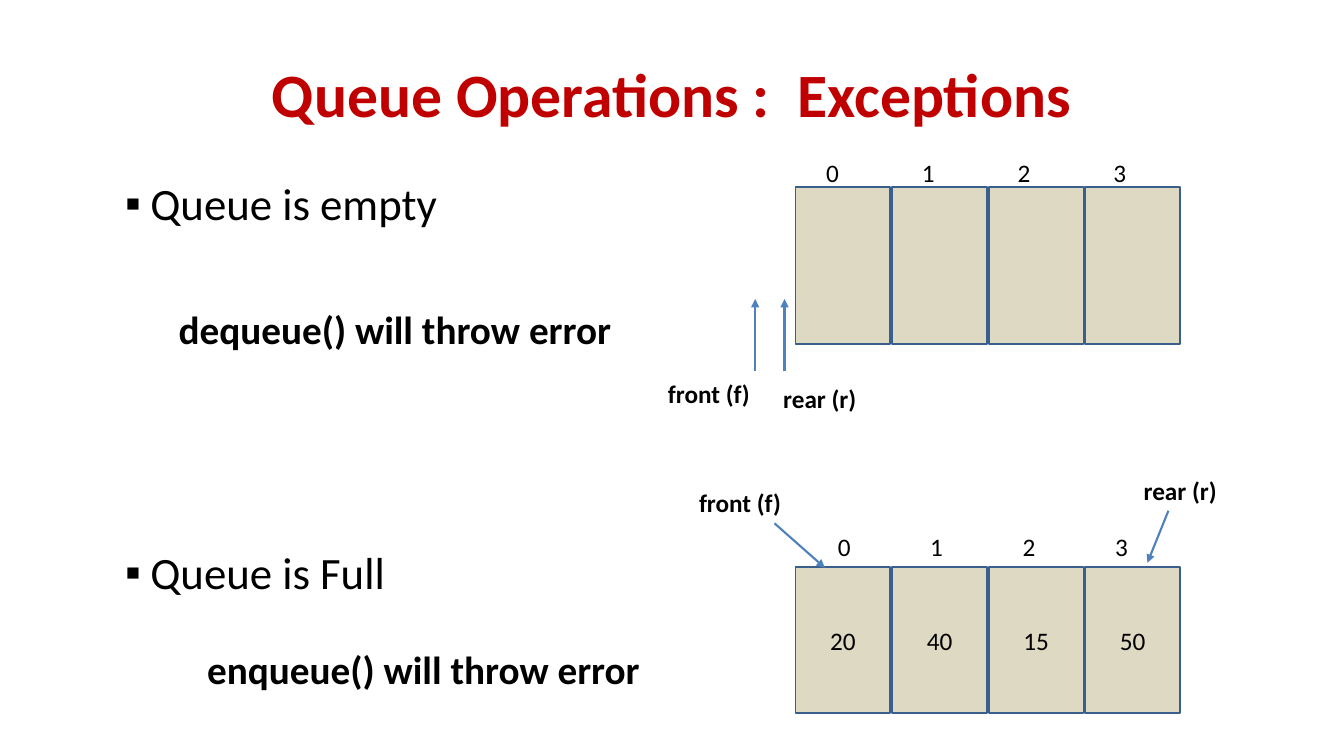
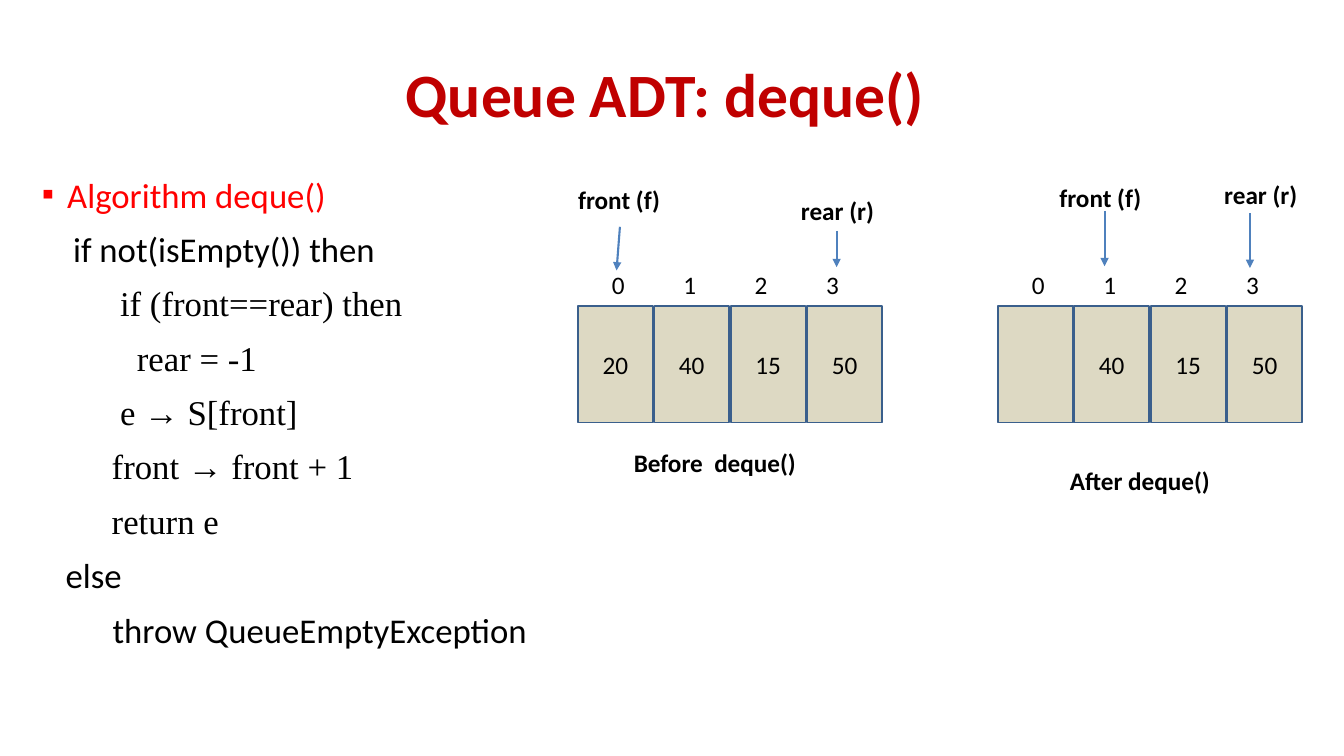
import lxml.etree
import pptx
import pptx.dml.color
import pptx.enum.shapes
import pptx.enum.text
import pptx.oxml.ns
import pptx.util

COLUMNS, ROWS = 160, 90
COLORS = {
    "title": "C00000",
    "text": "000000",
    "highlight": "FF0000",
    "cell": "DDD9C3",
    "outline": "3A5F8C",
    "arrow": "4F81BD",
}
BODY_FONT, CODE_FONT = "Calibri", "Times New Roman"
ALIGN = pptx.enum.text.PP_ALIGN
MIDDLE = pptx.enum.text.MSO_ANCHOR.MIDDLE


def rgb(name):
    return pptx.dml.color.RGBColor.from_string(COLORS[name])


def add_xml(parent, tag, **attributes):
    return lxml.etree.SubElement(parent, pptx.oxml.ns.qn(tag), **attributes)


def write(paragraph, text, size=18, color="text", bold=False, font=BODY_FONT,
          align=ALIGN.CENTER):
    paragraph.alignment = align
    run = paragraph.add_run()
    run.text = text
    run.font.name = font
    run.font.size = pptx.util.Pt(size)
    run.font.bold = bold
    run.font.color.rgb = rgb(color)


class Deck:
    """Holds the presentation, its grid and the current slide."""

    def __init__(self):
        self.presentation = pptx.Presentation()
        self.presentation.slide_width = pptx.util.Inches(13.33)
        self.presentation.slide_height = pptx.util.Inches(7.5)

    def grid(self, *lengths):
        """Turn alternating column and row counts into lengths."""
        units = (self.presentation.slide_width / COLUMNS,
                 self.presentation.slide_height / ROWS)
        return [round(length * units[i % 2]) for i, length in enumerate(lengths)]

    def place(self, shape, *box):
        shape.left, shape.top, shape.width, shape.height = self.grid(*box)

    def start_slide(self, title):
        layout = self.presentation.slide_layouts[1]
        self.slide = self.presentation.slides.add_slide(layout)
        shape = self.slide.shapes.title
        self.place(shape, 8, 3.6, 144, 15)
        shape.text_frame.vertical_anchor = MIDDLE
        write(shape.text_frame.paragraphs[0], title, 44, "title", bold=True)

    def body(self, box, lines, size, line_spacing):
        """Fill the body with (text, indent in columns or None for a bullet,
        space before, format) lines."""
        shape = self.slide.placeholders[1]
        self.place(shape, *box)
        frame = shape.text_frame
        frame.auto_size = pptx.enum.text.MSO_AUTO_SIZE.NONE
        frame.margin_left = frame.margin_right = 0
        for number, (text, indent, space, style) in enumerate(lines):
            paragraph = frame.add_paragraph() if number else frame.paragraphs[0]
            write(paragraph, text, size, align=ALIGN.LEFT, **style)
            paragraph.line_spacing = line_spacing
            paragraph.space_before = pptx.util.Pt(space)
            properties = paragraph._p.get_or_add_pPr()
            bullet = indent is None
            margin = self.grid(3 if bullet else indent)[0]
            properties.set("marL", str(margin))
            properties.set("indent", str(-margin if bullet else 0))
            if bullet:
                add_xml(properties, "a:buChar", char="▪")
            else:
                add_xml(properties, "a:buNone")

    def label(self, text, center, width=15.5, height=4.8, **style):
        x, y = center
        shape = self.slide.shapes.add_textbox(
            *self.grid(x - width / 2, y - height / 2, width, height))
        shape.text_frame.word_wrap = True
        shape.text_frame.vertical_anchor = MIDDLE
        write(shape.text_frame.paragraphs[0], text, **style)

    def arrow(self, start, end):
        connector = self.slide.shapes.add_connector(
            pptx.enum.shapes.MSO_CONNECTOR.STRAIGHT, *self.grid(*start, *end))
        connector.line.color.rgb = rgb("arrow")
        connector.line.width = pptx.util.Pt(1.5)
        properties = connector.element.spPr
        add_xml(properties.find(pptx.oxml.ns.qn("a:ln")), "a:tailEnd", type="triangle")
        add_xml(properties, "a:effectLst")

    def pointer(self, text, center, start, end):
        self.label(text, center, bold=True)
        self.arrow(start, end)

    def cell(self, text, *box):
        shape = self.slide.shapes.add_shape(
            pptx.enum.shapes.MSO_SHAPE.RECTANGLE, *self.grid(*box))
        shape.shadow.inherit = False
        shape.fill.solid()
        shape.fill.fore_color.rgb = rgb("cell")
        shape.line.color.rgb = rgb("outline")
        shape.line.width = pptx.util.Pt(1.25)
        if text:
            shape.text_frame.vertical_anchor = MIDDLE
            write(shape.text_frame.paragraphs[0], text)

    def queue(self, values, corner, cell_size, pitch, index_start, index_pitch):
        """Draw a row of cells with its index numbers above."""
        left, top = corner
        index_x, index_y = index_start
        for index, value in enumerate(values):
            self.cell(value, left + index * pitch, top, *cell_size)
            self.label(str(index), (index_x + index * index_pitch, index_y), width=8)


def build_exceptions(deck):
    deck.start_slide("Queue Operations :  Exceptions")
    deck.body((14.9, 21, 131, 60),
              [("Queue is empty", None, 18, {}), ("Queue is Full", None, 229, {})],
              size=32, line_spacing=0.9)
    deck.label("dequeue() will throw error", (47, 39.1), 60, 6.8, size=28, bold=True)
    deck.label("enqueue() will throw error", (50.4, 79.6), 60, 6.8, size=28, bold=True)

    deck.queue([""] * 4, (94.7, 22.3), (11.3, 18.7), 11.5, (99.1, 20.5), 11.4)
    deck.pointer("front (f)", (84.4, 46.9), (89.9, 44.2), (89.9, 35.6))
    deck.pointer("rear (r)", (97.6, 47.4), (93.4, 44.2), (93.4, 35.6))

    deck.queue(["20", "40", "15", "50"], (94.7, 67.5), (11.3, 17.4), 11.5,
               (100.5, 65), 11)
    deck.pointer("front (f)", (88.1, 59.8), (92.2, 62.3), (98.2, 67.6))
    deck.pointer("rear (r)", (140.5, 58.4), (139.1, 60.8), (136.6, 67))


def build_deque(deck):
    deck.start_slide("Queue ADT: deque() ")
    code = {"font": CODE_FONT}
    steps = [
        ("Algorithm deque()", None, {"color": "highlight"}),
        ("if not(isEmpty()) then", 3.7, {}),
        ("if (front==rear) then", 9.3, code),
        ("rear = -1", 11.3, code),
        ("e → S[front]", 9.3, code),
        ("front → front + 1", 8.3, code),
        ("return e", 8.3, code),
        ("else", 2.8, {}),
        ("throw QueueEmptyException", 8.4, {}),
    ]
    deck.body((5, 21.4, 77.3, 58.6),
              [(text, indent, 18, style) for text, indent, style in steps],
              size=24.8, line_spacing=0.7)

    for first, shift in (("20", 0), ("", 50)):
        deck.queue([first, "40", "15", "50"], (68.8 + shift, 36.4), (8.9, 13.9), 9.1,
                   (73.6 + shift, 33.9), 8.5)
    deck.pointer("front (f)", (73.7, 23.8), (73.8, 27), (73.4, 32.2))
    deck.pointer("rear (r)", (99.7, 25.1), (99.6, 27.5), (99.6, 31.8))
    deck.label("Before  deque()", (85.1, 55), width=29.4, bold=True)
    deck.pointer("front (f)", (131, 23.5), (131.5, 25.1), (131.5, 31.7))
    deck.pointer("rear (r)", (150.1, 23.2), (148.8, 25.4), (148.8, 31.9))
    deck.label("After deque()", (135.7, 57.2), width=29.4, bold=True)


def main():
    deck = Deck()
    build_exceptions(deck)
    build_deque(deck)
    deck.presentation.save("out.pptx")


if __name__ == "__main__":
    main()
